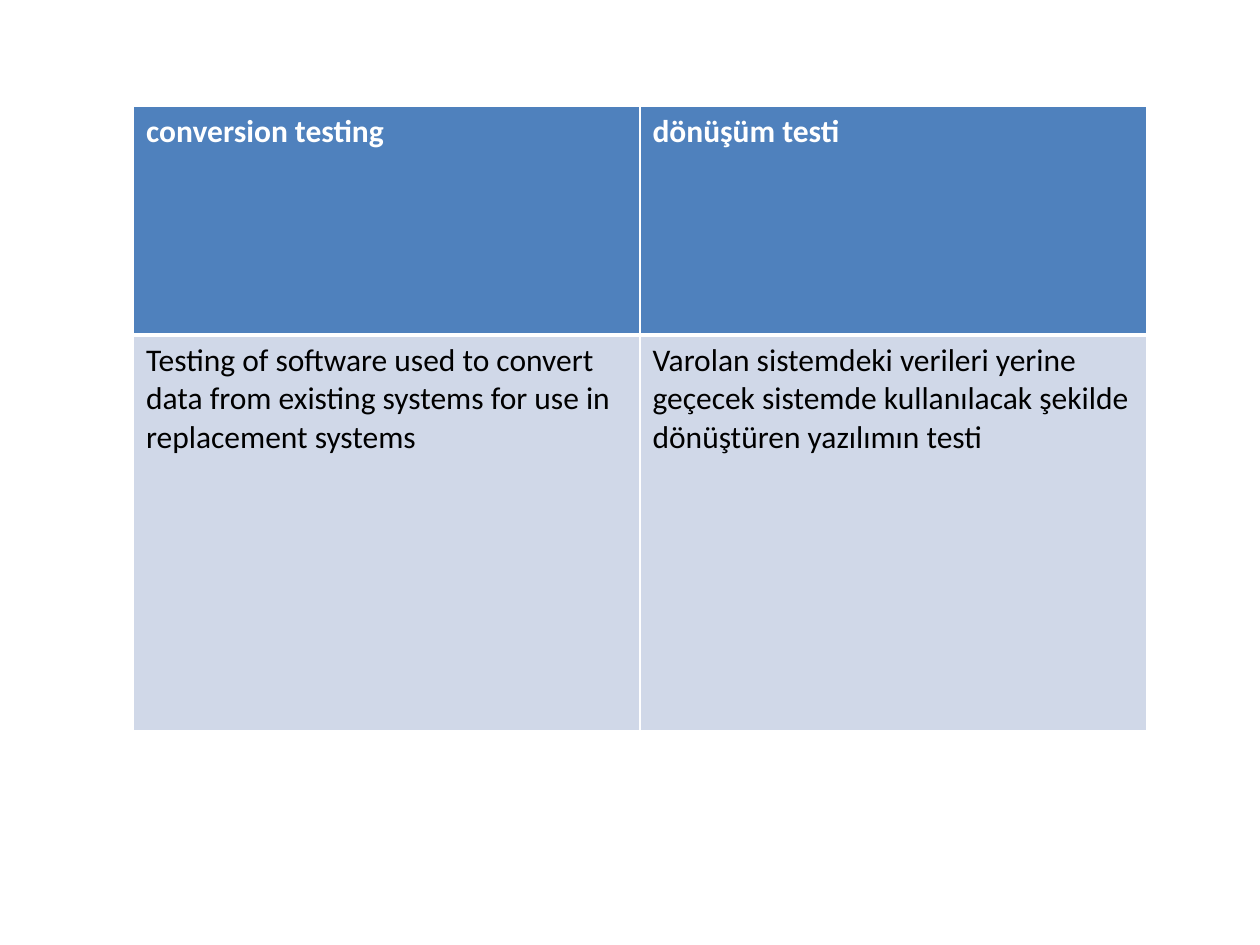
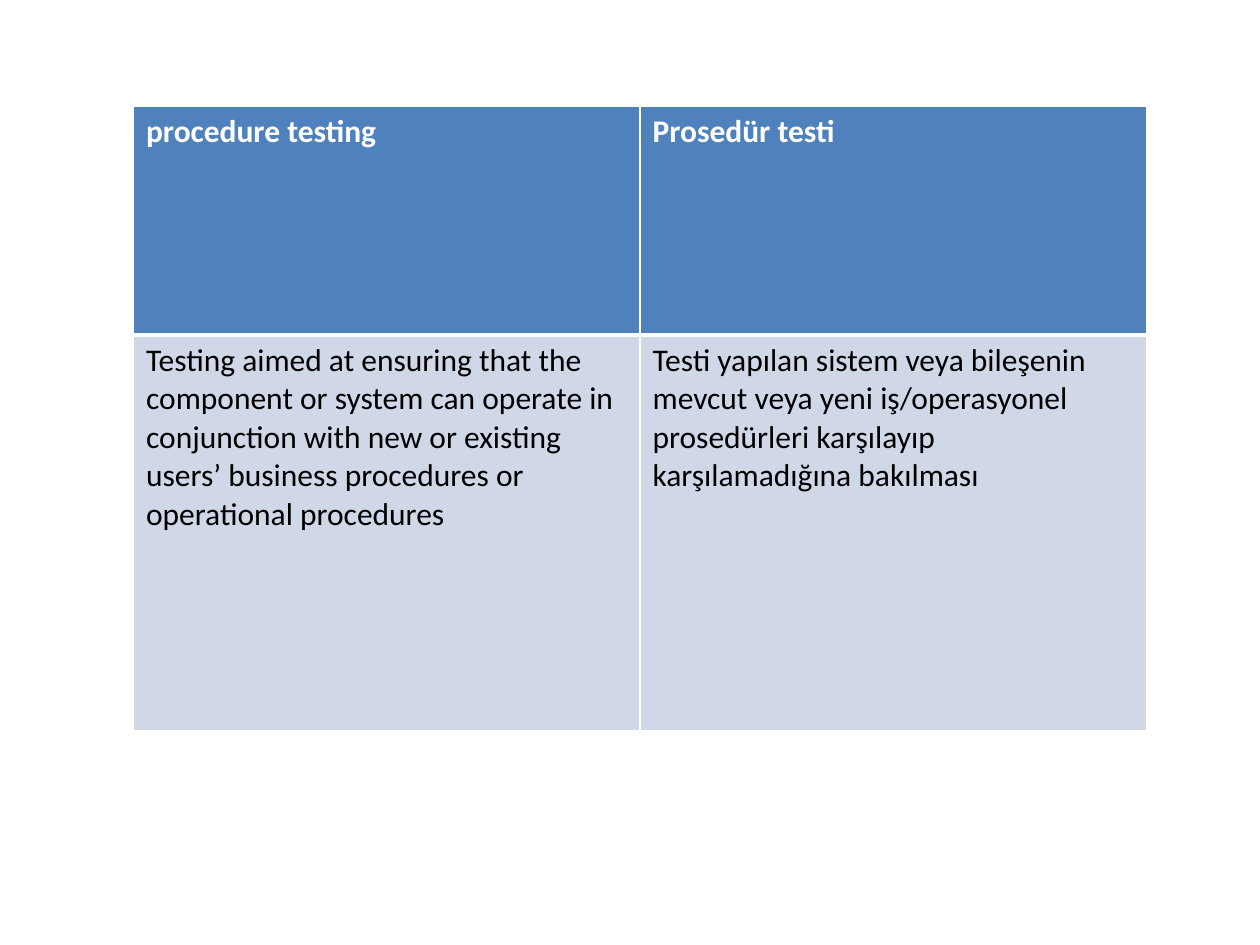
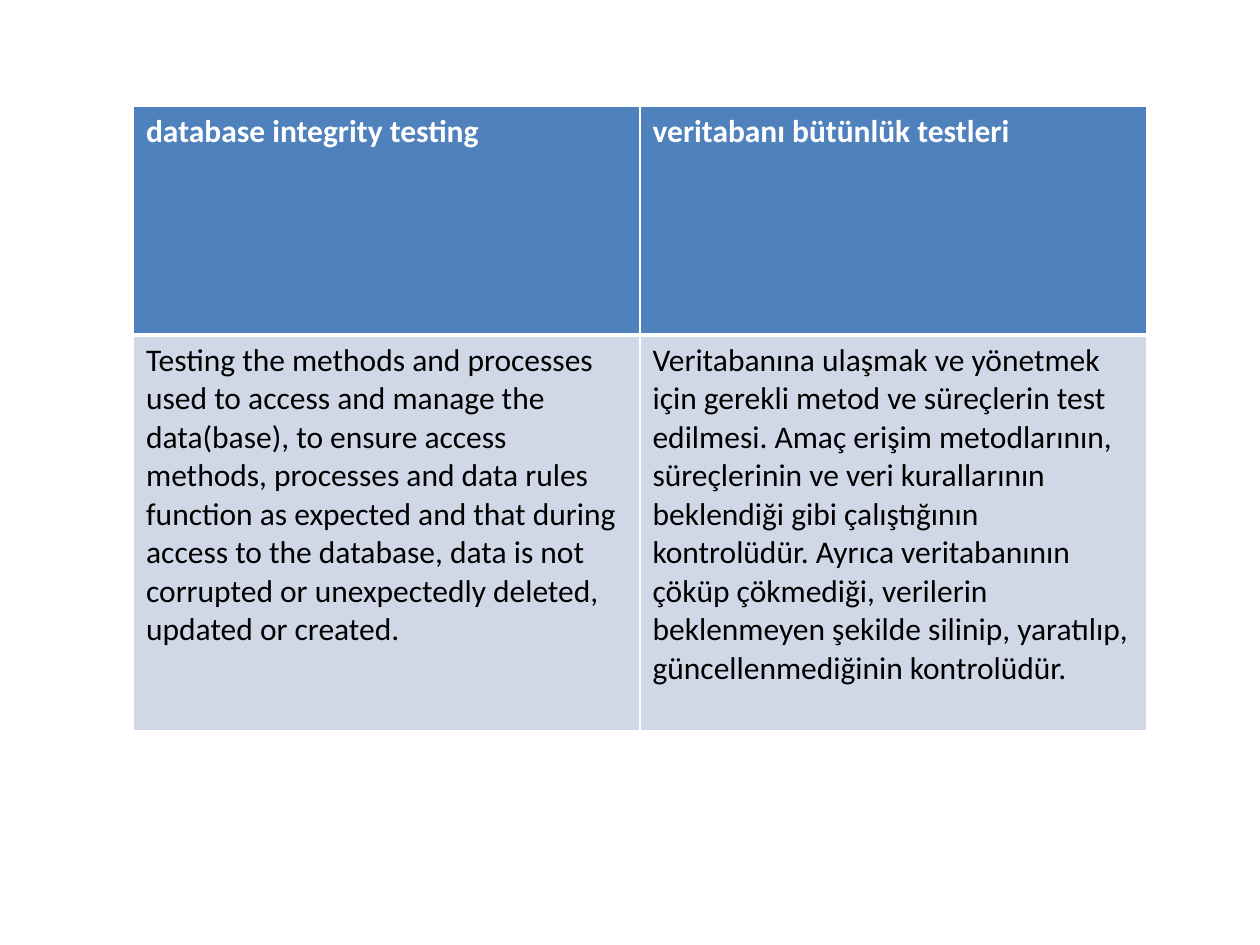
from lxml.etree import SubElement
from pptx import Presentation
from pptx.dml.color import RGBColor
from pptx.oxml.ns import qn
from pptx.util import Inches, Pt

TERMS = [
    (
        ("conversion testing", "dönüşüm testi"),
        (
            "Testing of software used to convert data from existing systems "
            "for use in replacement systems",
            "Varolan sistemdeki verileri yerine geçecek sistemde kullanılacak "
            "şekilde dönüştüren yazılımın testi",
        ),
    ),
    (
        ("procedure testing", "Prosedür testi"),
        (
            "Testing aimed at ensuring that the component or system can operate "
            "in conjunction with new or existing users’ business procedures or "
            "operational procedures",
            "Testi yapılan sistem veya bileşenin mevcut veya yeni iş/operasyonel "
            "prosedürleri karşılayıp karşılamadığına bakılması",
        ),
    ),
    (
        ("database integrity testing", "veritabanı bütünlük testleri"),
        (
            "Testing the methods and processes used to access and manage the "
            "data(base), to ensure access methods, processes and data rules "
            "function as expected and that during access to the database, data "
            "is not corrupted or unexpectedly deleted, updated or created.",
            "Veritabanına ulaşmak ve yönetmek için gerekli metod ve süreçlerin "
            "test edilmesi. Amaç erişim metodlarının, süreçlerinin ve veri "
            "kurallarının beklendiği gibi çalıştığının kontrolüdür. Ayrıca "
            "veritabanının çöküp çökmediği, verilerin beklenmeyen şekilde "
            "silinip, yaratılıp, güncellenmediğinin kontrolüdür.",
        ),
    ),
]


def color(value):
    return RGBColor.from_string(value)


def write(tf, text, size=18, font="Calibri", fill="000000", bold=False):
    r = tf.paragraphs[0].add_run()
    r.text = text
    r.font.name = font
    r.font.size = Pt(size)
    r.font.bold = bold
    r.font.color.rgb = color(fill)


class Deck:
    WHITE = "FFFFFF"
    BLACK = "000000"
    HEADER = "4F81BD"
    BODY = "D0D8E8"
    THIN, THICK = 1, 3

    def __init__(self):
        self.prs = Presentation()
        self.prs.slide_width = Inches(10)
        self.prs.slide_height = Inches(7.5)

    def slide(self):
        self.s = self.prs.slides.add_slide(self.prs.slide_layouts[6])

    def border(self, cell, **widths):
        tc_pr = cell._tc.get_or_add_tcPr()
        for side in ("L", "R", "T", "B"):
            width = widths.get(side, self.THIN)
            ln = SubElement(tc_pr, qn("a:ln" + side), w=str(Pt(width)))
            solid = SubElement(ln, qn("a:solidFill"))
            SubElement(solid, qn("a:srgbClr"), val=self.WHITE)

    def cell(self, cell, text, header):
        self.border(cell, **{"B" if header else "T": self.THICK})
        cell.fill.solid()
        cell.fill.fore_color.rgb = color(self.HEADER if header else self.BODY)
        write(cell.text_frame, text, bold=header,
              fill=self.WHITE if header else self.BLACK)

    def table(self, rows, left=1.06, top=0.84, col_width=4.02, heights=(1.82, 3.14)):
        cols = len(rows[0])
        table = self.s.shapes.add_table(
            len(rows), cols, Inches(left), Inches(top),
            Inches(col_width * cols), Inches(sum(heights)),
        ).table
        for col in table.columns:
            col.width = Inches(col_width)
        for i, (texts, height) in enumerate(zip(rows, heights)):
            table.rows[i].height = Inches(height)
            for j, text in enumerate(texts):
                self.cell(table.cell(i, j), text, header=i == 0)


deck = Deck()
for term in TERMS:
    deck.slide()
    deck.table(term)
deck.prs.save("out.pptx")
